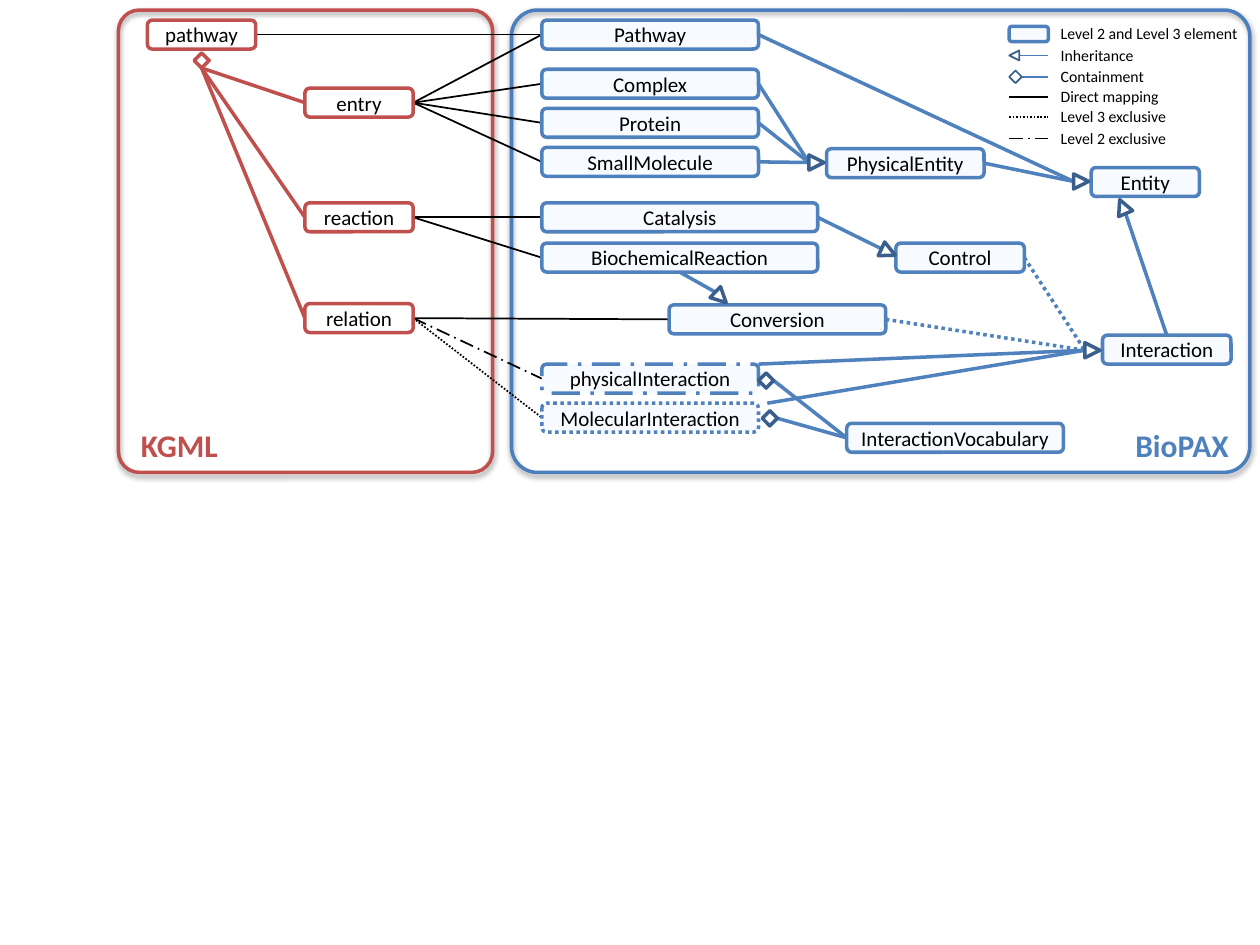
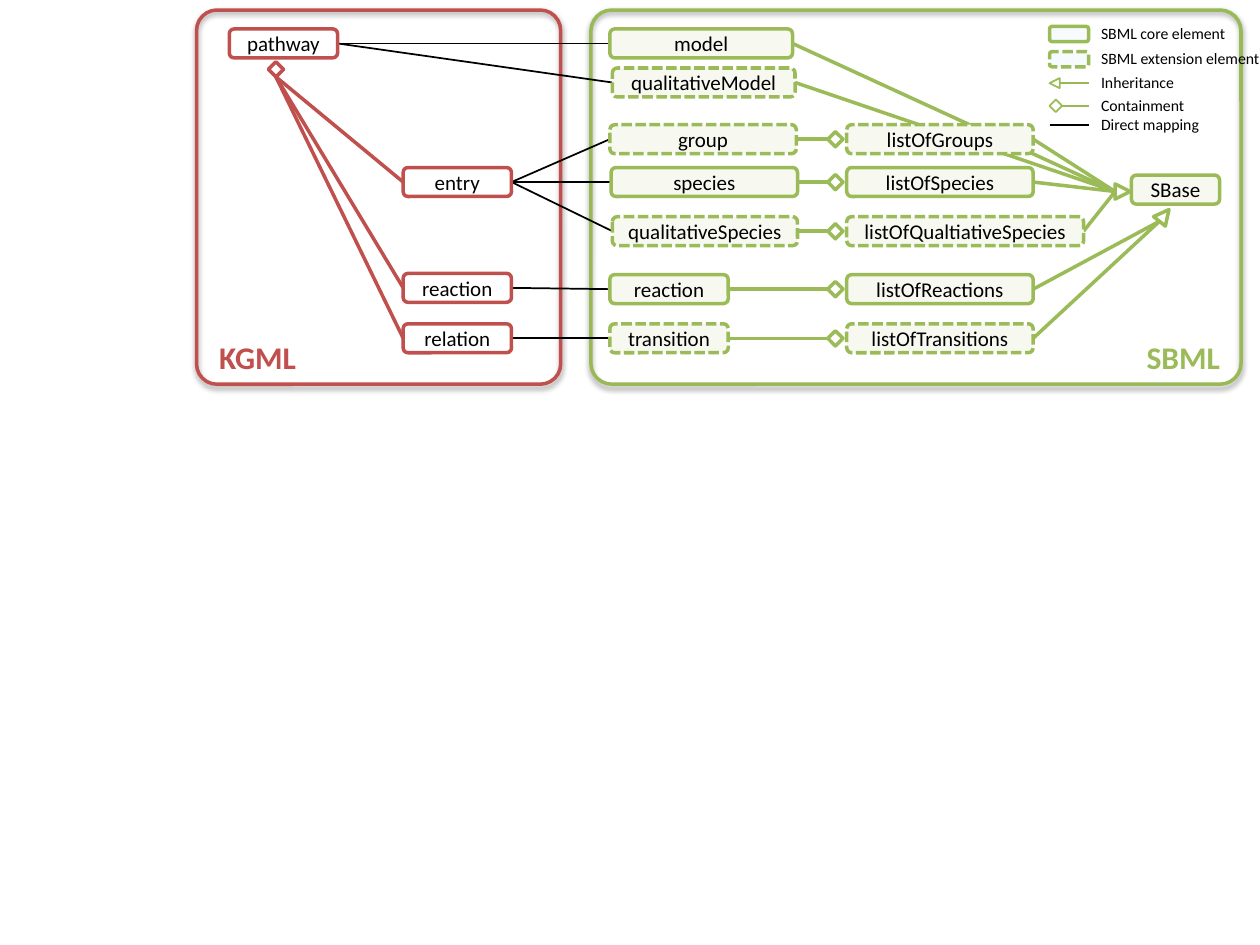
import math
from lxml import etree
from pptx import Presentation
from pptx.dml.color import RGBColor
from pptx.enum.dml import MSO_LINE
from pptx.enum.shapes import MSO_CONNECTOR, MSO_SHAPE
from pptx.enum.text import MSO_ANCHOR, MSO_AUTO_SIZE, PP_ALIGN
from pptx.oxml.ns import qn
from pptx.util import Cm, Pt

COLORS = {
    "black": "000000", "white": "FFFFFF", "red": "C0504D",
    "blue": "4F81BD", "blue edge": "4B7EBC", "navy": "3A5F8C", "blue tint": "F7FAFF",
    "green": "9BBB59", "green edge": "98B955", "green tint": "F7F9F1",
}
FONT = "Calibri"
CM_PER_INCH = 2.54
BOX_H, MARK, PANEL_TOP = 0.23, 0.12, 0.08
KEY_W, KEY_H = 0.31, 0.12
TOP, LEFT, BOTTOM, RIGHT = range(4)     # connection sites of a box
DOT, DASH, DASH_DOT = MSO_LINE.ROUND_DOT, MSO_LINE.SQUARE_DOT, MSO_LINE.LONG_DASH_DOT

# Positions are in inches. Boxes: text, left, top, width, dash.
# Markers: kind, centre x, centre y, direction in degrees clockwise from up.
# Mappings: KGML box, target box, dash. Links: box and site (or a point), marker, dash.
BIOPAX = {
    "panels": [("KGML", 0.94, 2.97, "red", "red", PP_ALIGN.LEFT),
               ("BioPAX", 4.06, 5.86, "blue", "blue edge", PP_ALIGN.RIGHT)],
    "panel height": 3.67,
    "line": "blue", "tint": "blue tint", "marker": "navy",
    "kgml": [("pathway", 1.17, 0.16, 0.86, None), ("entry", 2.42, 0.7, 0.86, None),
             ("reaction", 2.42, 1.61, 0.86, None), ("relation", 2.42, 2.41, 0.86, None)],
    "kgml diamond": ("diamond", 1.6, 0.48, 0),
    "boxes": [
        ("Pathway", 4.3, 0.16, 1.72, None),
        ("Complex", 4.3, 0.55, 1.72, None),
        ("Protein", 4.3, 0.86, 1.72, None),
        ("SmallMolecule", 4.3, 1.17, 1.72, None),
        ("Catalysis", 4.3, 1.61, 2.19, None),
        ("BiochemicalReaction", 4.3, 1.93, 2.19, None),
        ("Conversion", 5.31, 2.42, 1.72, None),
        ("physicalInteraction", 4.3, 2.89, 1.72, DASH_DOT),
        ("MolecularInteraction", 4.3, 3.2, 1.72, DOT),
        ("PhysicalEntity", 6.56, 1.18, 1.25, None),
        ("Control", 7.11, 1.93, 1.02, None),
        ("InteractionVocabulary", 6.72, 3.36, 1.72, None),
        ("Entity", 8.66, 1.33, 0.86, None),
        ("Interaction", 8.75, 2.66, 1.02, None),
    ],
    "markers": {
        "to PhysicalEntity": ("triangle", 6.48, 1.29, 90),
        "to Entity": ("triangle", 8.58, 1.44, 90),
        "up to Entity": ("triangle", 8.91, 1.64, 337),
        "to Conversion": ("triangle", 5.72, 2.36, 134),
        "to Control": ("triangle", 7.05, 2.0, 115),
        "to Interaction": ("triangle", 8.67, 2.78, 90),
        "in physical": ("diamond", 6.08, 3.02, 270),
        "in molecular": ("diamond", 6.11, 3.32, 270),
    },
    "mappings": [
        ("pathway", "Pathway", None), ("entry", "Pathway", None),
        ("entry", "Complex", None), ("entry", "Protein", None),
        ("entry", "SmallMolecule", None), ("reaction", "Catalysis", None),
        ("reaction", "BiochemicalReaction", None), ("relation", "Conversion", None),
        ("relation", "physicalInteraction", DASH_DOT),
        ("relation", "MolecularInteraction", DOT),
    ],
    "links": [
        (("Pathway", RIGHT), "to Entity", None),
        (("PhysicalEntity", RIGHT), "to Entity", None),
        (("Complex", RIGHT), "to PhysicalEntity", None),
        (("Protein", RIGHT), "to PhysicalEntity", None),
        (("SmallMolecule", RIGHT), "to PhysicalEntity", None),
        (("Catalysis", RIGHT), "to Control", None),
        (("BiochemicalReaction", BOTTOM), "to Conversion", None),
        (("Interaction", TOP), "up to Entity", None),
        (("Control", RIGHT), "to Interaction", DOT),
        (("Conversion", RIGHT), "to Interaction", DOT),
        ((6.02, 2.89), "to Interaction", None),
        ((6.09, 3.2), "to Interaction", None),
        (("InteractionVocabulary", LEFT), "in physical", None),
        (("InteractionVocabulary", LEFT), "in molecular", None),
    ],
    "legend left": 8.01,
    # kind, label, label width, centre y, dash
    "legend": [
        ("box", "Level 2 and Level 3 element", 1.62, 0.27, None),
        ("triangle", "Inheritance", 0.79, 0.44, None),
        ("diamond", "Containment", 0.87, 0.61, None),
        ("line", "Direct mapping", 1.07, 0.77, None),
        ("line", "Level 3 exclusive", 1.05, 0.93, DOT),
        ("line", "Level 2 exclusive", 1.05, 1.1, DASH_DOT),
    ],
}

# Rows of the SBML containment grid: element, its left and width, list, list width, top, dashes
SBML_ROWS = [
    ("group", 4.84, 1.48, "listOfGroups", 1.48, 0.99, DASH),
    ("species", 4.85, 1.48, "listOfSpecies", 1.48, 1.33, None),
    ("qualitativeSpecies", 4.86, 1.47, "listOfQualtiativeSpecies", 1.88, 1.72, DASH),
    ("reaction", 4.84, 0.94, "listOfReactions", 1.48, 2.18, None),
    ("transition", 4.84, 0.94, "listOfTransitions", 1.48, 2.57, DASH),
]
LIST_LEFT = 6.72
SBML = {
    "panels": [("KGML", 1.56, 2.89, "red", "red", PP_ALIGN.LEFT),
               ("SBML", 4.69, 5.16, "green", "green edge", PP_ALIGN.RIGHT)],
    "panel height": 2.97,
    "line": "green", "tint": "green tint", "marker": "green",
    "kgml": [("pathway", 1.82, 0.23, 0.86, None), ("entry", 3.2, 1.33, 0.86, None),
             ("reaction", 3.2, 2.17, 0.86, None), ("relation", 3.2, 2.57, 0.86, None)],
    "kgml diamond": ("diamond", 2.19, 0.55, 0),
    "boxes": [("model", 4.84, 0.23, 1.45, None),
              ("qualitativeModel", 4.86, 0.54, 1.45, DASH),
              ("SBase", 8.98, 1.39, 0.7, None)]
    + [(name, left, top, width, dash) for name, left, width, _, _, top, dash in SBML_ROWS]
    + [(name, LIST_LEFT, top, width, dash) for _, _, _, name, width, top, dash in SBML_ROWS],
    "markers": {"to SBase": ("triangle", 8.91, 1.52, 90),
                "up to SBase": ("triangle", 9.24, 1.71, 39),
                **{row[3]: ("diamond", LIST_LEFT - 0.09, row[5] + BOX_H / 2, 90)
                   for row in SBML_ROWS}},
    "mappings": [
        ("pathway", "model", None), ("pathway", "qualitativeModel", None),
        ("entry", "group", None), ("entry", "species", None),
        ("entry", "qualitativeSpecies", None), ("reaction", "reaction", None),
        ("relation", "transition", None),
    ],
    "links": [((name, RIGHT), "to SBase", None) for name in
              ("model", "qualitativeModel", "listOfGroups", "listOfSpecies",
               "listOfQualtiativeSpecies")]
    + [((name, RIGHT), "up to SBase", None) for name in
       ("listOfReactions", "listOfTransitions")]
    + [((row[0], RIGHT), row[3], None) for row in SBML_ROWS],
    "legend left": 8.33,
    "legend": [
        ("box", "SBML core element", 1.2, 0.27, None),
        ("box", "SBML extension element", 1.48, 0.47, DASH),
        ("triangle", "Inheritance", 0.79, 0.66, None),
        ("diamond", "Containment", 0.87, 0.84, None),
        ("line", "Direct mapping", 1.07, 0.99, None),
    ],
}


def cm(*inches):
    """Turn inch positions into Cm lengths."""
    return [Cm(value * CM_PER_INCH) for value in inches]


def rgb(name):
    """Look up a palette colour."""
    return RGBColor.from_string(COLORS[name])


def style_line(line, color, width, dash=None):
    """Set colour, width and dash of an outline or connector."""
    line.color.rgb = rgb(color)
    line.width = Pt(width)
    if dash is not None:
        line.dash_style = dash


def write(shape, text, size, align, color="black", bold=False):
    """Put one formatted line of text into a shape."""
    paragraph = shape.text_frame.paragraphs[0]
    paragraph.alignment = align
    run = paragraph.add_run()
    run.text = text
    run.font.name, run.font.size, run.font.bold = FONT, Pt(size), bold
    run.font.color.rgb = rgb(color)


def add_shape(slide, kind, place, fill, line, width=2, dash=None):
    """Add a flat preset shape; fill None means no fill."""
    shape = slide.shapes.add_shape(kind, *cm(*place))
    shape.shadow.inherit = False
    if fill is None:
        shape.fill.background()
    else:
        shape.fill.solid()
        shape.fill.fore_color.rgb = rgb(fill)
    style_line(shape.line, line, width, dash)
    return shape


def add_label(slide, place, text, size, align, color="black", bold=False, wrap=True):
    """Add a free text box."""
    box = slide.shapes.add_textbox(*cm(*place))
    box.text_frame.word_wrap = wrap
    box.text_frame.auto_size = MSO_AUTO_SIZE.SHAPE_TO_FIT_TEXT
    write(box, text, size, align, color, bold)


def add_panel(slide, panel, height):
    """Add a shadowed frame with its name in a lower corner."""
    name, left, width, color, edge, align = panel
    frame = add_shape(slide, MSO_SHAPE.ROUNDED_RECTANGLE,
                      (left, PANEL_TOP, width, height), None, edge)
    frame.adjustments[0] = 0.056
    effects = frame._element.spPr.find(qn("a:effectLst"))
    shadow = etree.SubElement(effects, qn("a:outerShdw"), blurRad="40000", dist="20000",
                              dir="5400000", rotWithShape="0")
    tone = etree.SubElement(shadow, qn("a:srgbClr"), val=COLORS["black"])
    etree.SubElement(tone, qn("a:alpha"), val="38000")
    label_left = left + 0.08 if align == PP_ALIGN.LEFT else left + width - 1.79
    add_label(slide, (label_left, PANEL_TOP + height - 0.42, 1.72, 0.42),
              name, 18, align, color, True)
    return frame


def add_boxes(slide, boxes, fill, line):
    """Add element boxes and return them by name."""
    shapes = {}
    for name, left, top, width, dash in boxes:
        shape = add_shape(slide, MSO_SHAPE.ROUNDED_RECTANGLE, (left, top, width, BOX_H),
                          fill, line, 2, dash)
        frame = shape.text_frame
        frame.vertical_anchor = MSO_ANCHOR.MIDDLE
        frame.margin_left = frame.margin_right = frame.margin_top = frame.margin_bottom = 0
        write(shape, name, 12, PP_ALIGN.CENTER)
        shapes[name] = shape
    return shapes


def add_marker(slide, marker, color, fill="white", size=MARK, width=2):
    """Add an arrowhead or diamond and return the point where its line ends."""
    kind, x, y, angle = marker
    preset = MSO_SHAPE.DIAMOND if kind == "diamond" else MSO_SHAPE.ISOSCELES_TRIANGLE
    shape = add_shape(slide, preset, (x - size / 2, y - size / 2, size, size),
                      fill, color, width)
    if kind == "triangle":
        shape.rotation = angle
    turn = math.radians(angle)
    return x - size / 2 * math.sin(turn), y + size / 2 * math.cos(turn)


def connect(slide, back, start, end, color, width, dash=None):
    """Join two ends, each a point or (box, site), just in front of the panel `back`."""
    line = slide.shapes.add_connector(MSO_CONNECTOR.STRAIGHT, 0, 0, 0, 0)
    line.begin_x, line.begin_y = (0, 0) if hasattr(start[0], "shape_id") else cm(*start)
    line.end_x, line.end_y = (0, 0) if hasattr(end[0], "shape_id") else cm(*end)
    if hasattr(start[0], "shape_id"):
        line.begin_connect(*start)
    if hasattr(end[0], "shape_id"):
        line.end_connect(*end)
    style_line(line.line, color, width, dash)
    etree.SubElement(line._element.spPr, qn("a:effectLst"))
    back._element.addnext(line._element)


def add_legend(slide, back, diagram):
    """Add the key: a symbol and a label in each row."""
    left = diagram["legend left"]
    right = left + KEY_W
    for kind, label, width, y, dash in diagram["legend"]:
        if kind == "box":
            add_shape(slide, MSO_SHAPE.ROUNDED_RECTANGLE,
                      (left, y - KEY_H / 2, KEY_W, KEY_H), "blue tint",
                      diagram["line"], 2, dash)
        elif kind == "line":
            connect(slide, back, (left, y), (right, y), "black", 1, dash)
        else:
            size = 0.08 if kind == "triangle" else 0.1
            tail = add_marker(slide, (kind, left + size / 2, y, 270), diagram["marker"],
                              None, size, 1)
            connect(slide, back, tail, (right, y), diagram["panels"][1][4], 1)
        add_label(slide, (right, y - 0.13, width, 0.25), label, 9, PP_ALIGN.LEFT, wrap=False)


def build_slide(prs, diagram):
    """Draw one mapping diagram on a blank slide."""
    slide = prs.slides.add_slide(prs.slide_layouts[6])
    back = [add_panel(slide, panel, diagram["panel height"]) for panel in diagram["panels"]][-1]
    kgml = add_boxes(slide, diagram["kgml"], "white", "red")
    target = add_boxes(slide, diagram["boxes"], diagram["tint"], diagram["line"])
    hub = add_marker(slide, diagram["kgml diamond"], "red")
    ends = {name: add_marker(slide, marker, diagram["marker"])
            for name, marker in diagram["markers"].items()}
    for name in ("entry", "reaction", "relation"):
        connect(slide, back, (kgml[name], LEFT), hub, "red", 2)
    for source, goal, dash in diagram["mappings"]:
        connect(slide, back, (kgml[source], RIGHT), (target[goal], LEFT), "black", 1, dash)
    for (origin, side), marker, dash in diagram["links"]:
        start = (target.get(origin, origin), side)
        connect(slide, back, start, ends[marker], diagram["line"], 2, dash)
    add_legend(slide, back, diagram)


prs = Presentation()
prs.slide_width, prs.slide_height = cm(10, 7.5)
for diagram in (BIOPAX, SBML):
    build_slide(prs, diagram)
prs.save("out.pptx")
